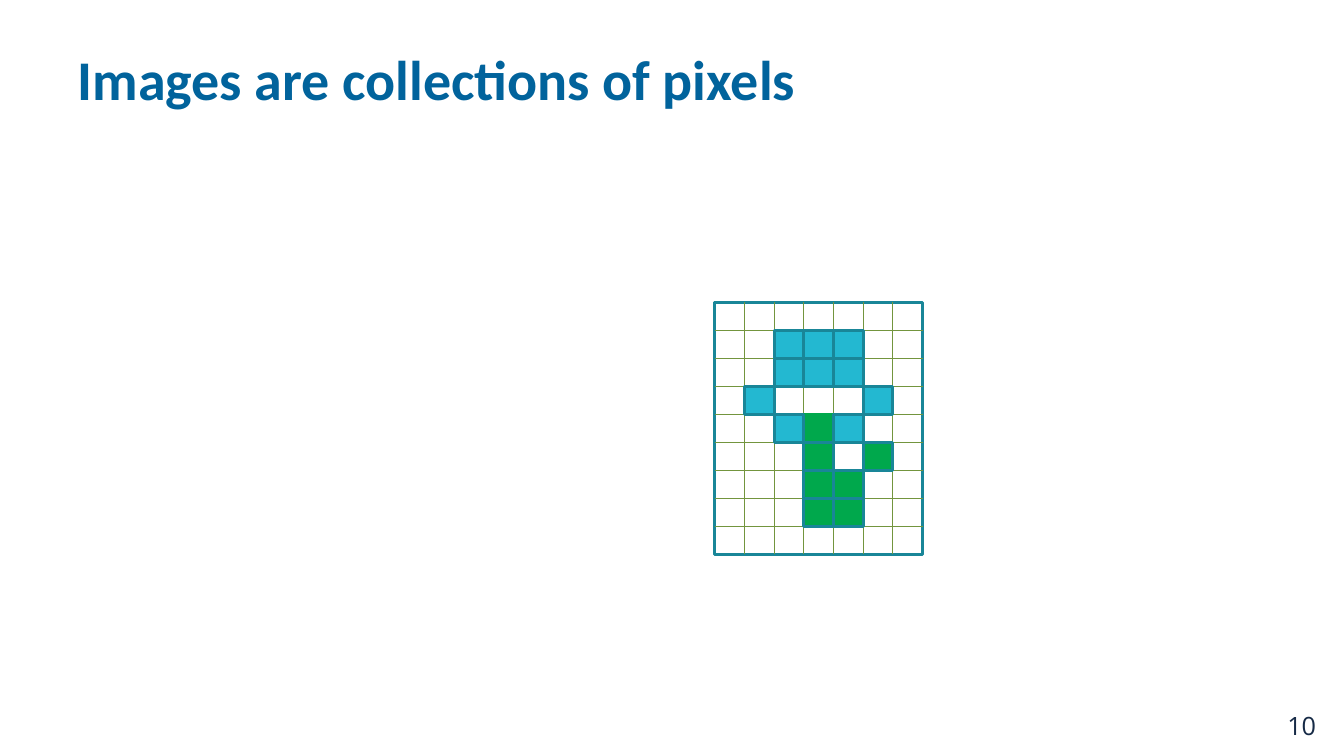
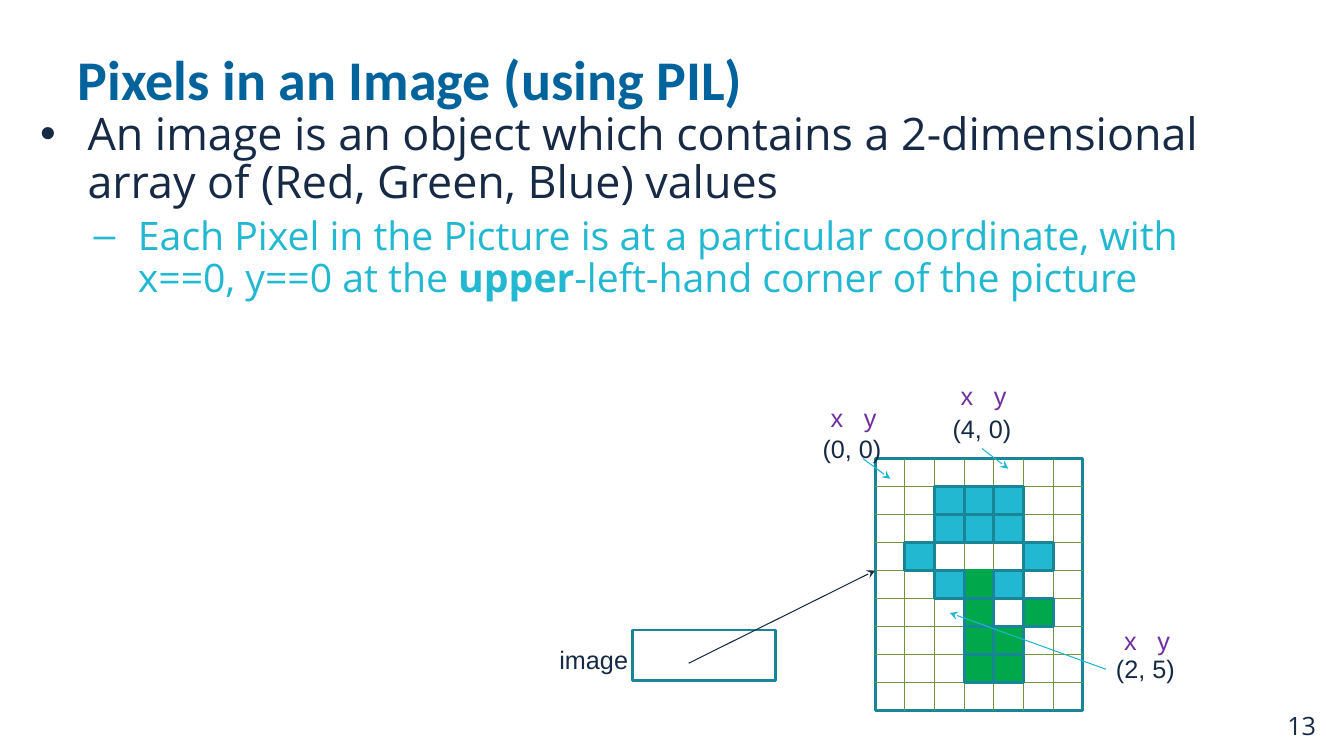
from lxml.etree import SubElement
from pptx import Presentation
from pptx.dml.color import RGBColor
from pptx.enum.shapes import MSO_CONNECTOR, MSO_SHAPE
from pptx.enum.text import MSO_ANCHOR, PP_ALIGN
from pptx.oxml.ns import qn
from pptx.util import Inches, Pt

TITLE_BLUE = RGBColor(0x01, 0x63, 0x9C)
NAVY = RGBColor(0x16, 0x2A, 0x46)
CYAN = RGBColor(0x23, 0xB8, 0xD1)
ARROW_CYAN = RGBColor(0x1D, 0xB6, 0xD0)
TEAL = RGBColor(0x19, 0x86, 0x98)
GREEN = RGBColor(0x00, 0xA8, 0x4C)
GRID_GREEN = RGBColor(0x73, 0x95, 0x3E)
PURPLE = RGBColor(0x70, 0x30, 0xA0)

GRID_WIDTH, GRID_HEIGHT = 2.06, 2.5
FLOWER = [
    ".......",
    "..BBB..",
    "..BBB..",
    ".B...B.",
    "..BgB..",
    "...G.G.",
    "...GG..",
    "...GG..",
    ".......",
]
PIXEL_STYLES = {"g": (GREEN, GREEN), "B": (CYAN, TEAL), "G": (GREEN, TEAL)}
ROWS, COLUMNS = len(FLOWER), len(FLOWER[0])
CELL_WIDTH, CELL_HEIGHT = GRID_WIDTH / COLUMNS, GRID_HEIGHT / ROWS


def add_line(shapes, start, end, color, arrow=False):
    points = [Inches(value) for value in (*start, *end)]
    connector = shapes.add_connector(MSO_CONNECTOR.STRAIGHT, *points)
    connector.line.color.rgb = color
    connector.line.width = Pt(0.75)
    properties = connector.element.spPr
    if arrow:
        SubElement(properties.find(qn("a:ln")), qn("a:tailEnd"), type="stealth")
    SubElement(properties, qn("a:effectLst"))


def add_label(slide, left, top, text, font_name="Arial", color=NAVY, width=1):
    box = slide.shapes.add_textbox(Inches(left), Inches(top), Inches(width), Inches(0.4))
    box.text_frame.word_wrap = True
    box.text_frame.text = text
    paragraph = box.text_frame.paragraphs[0]
    if "\t" in text:
        tabs = SubElement(paragraph._p.get_or_add_pPr(), qn("a:tabLst"))
        SubElement(tabs, qn("a:tab"), pos=str(Inches(0.33)), algn="l")
    font = paragraph.runs[0].font
    font.name, font.size, font.color.rgb = font_name, Pt(18), color


presentation = Presentation()
presentation.slide_width = Inches(13.33)
presentation.slide_height = Inches(7.5)

for title_text, number, grid_left, grid_top in [
    ("Images are collections of pixels", "10", 7.09, 3),
    ("Pixels in an Image (using PIL)", "13", 8.68, 4.55),
]:
    slide = presentation.slides.add_slide(presentation.slide_layouts[5])
    title = slide.shapes.title
    title.left, title.top = Inches(0.67), Inches(0.06)
    title.width, title.height = Inches(12), Inches(1.42)
    title.text_frame.text = title_text
    title.text_frame.vertical_anchor = MSO_ANCHOR.MIDDLE
    paragraph = title.text_frame.paragraphs[0]
    paragraph.alignment = PP_ALIGN.LEFT
    font = paragraph.runs[0].font
    font.name, font.size, font.bold = "Calibri", Pt(40), True
    font.color.rgb = TITLE_BLUE
    add_label(slide, 12.67, 7, number, "Open Sans", width=0.5)

    grid = slide.shapes.add_group_shape()
    frame = grid.shapes.add_shape(
        MSO_SHAPE.RECTANGLE, Inches(grid_left), Inches(grid_top),
        Inches(GRID_WIDTH), Inches(GRID_HEIGHT))
    frame.shadow.inherit = False
    frame.fill.background()
    frame.line.color.rgb = TEAL
    frame.line.width = Pt(2)
    for row in range(1, ROWS):
        y = grid_top + row * CELL_HEIGHT
        add_line(grid.shapes, (grid_left, y), (grid_left + GRID_WIDTH, y), GRID_GREEN)
    for column in range(1, COLUMNS):
        x = grid_left + column * CELL_WIDTH
        add_line(grid.shapes, (x, grid_top), (x, grid_top + GRID_HEIGHT), GRID_GREEN)
    for letter, (fill_color, line_color) in PIXEL_STYLES.items():
        for row, pixels in enumerate(FLOWER):
            for column, pixel in enumerate(pixels):
                if pixel != letter:
                    continue
                cell = grid.shapes.add_shape(
                    MSO_SHAPE.RECTANGLE,
                    Inches(grid_left + column * CELL_WIDTH),
                    Inches(grid_top + row * CELL_HEIGHT),
                    Inches(CELL_WIDTH), Inches(CELL_HEIGHT))
                cell.shadow.inherit = False
                cell.fill.solid()
                cell.fill.fore_color.rgb = fill_color
                cell.line.color.rgb = line_color
                cell.line.width = Pt(2)

body = slide.shapes.add_textbox(Inches(0.27), Inches(1.06), Inches(12), Inches(5.03))
body.text_frame.word_wrap = True
for level, (bullet, margin, indent, size, color, texts) in enumerate([
    ("•", 0.5, -0.47, 32, NAVY,
     ["An image is an object which contains a 2-dimensional array of (Red, Green, Blue) values"]),
    ("–", 1, -0.44, 28, CYAN,
     ["Each Pixel in the Picture is at a particular coordinate, with x==0, y==0 at the ",
      "upper", "-left-hand corner of the picture"]),
]):
    paragraph = body.text_frame.add_paragraph() if level else body.text_frame.paragraphs[0]
    paragraph.level = level
    paragraph.line_spacing = 0.9
    if level:
        paragraph.space_before = Pt(5.6)
    properties = paragraph._p.get_or_add_pPr()
    properties.set("marL", str(Inches(margin)))
    properties.set("indent", str(Inches(indent)))
    SubElement(properties, qn("a:buFont"), typeface="Arial")
    SubElement(properties, qn("a:buChar"), char=bullet)
    for text in texts:
        run = paragraph.add_run()
        run.text = text
        run.font.name, run.font.size = "Open Sans", Pt(size)
        run.font.color.rgb = color
        run.font.bold = text == "upper"

variable = slide.shapes.add_shape(
    MSO_SHAPE.RECTANGLE, Inches(6.27), Inches(6.25), Inches(1.42), Inches(0.5))
variable.shadow.inherit = False
variable.fill.background()
variable.line.color.rgb = TEAL
variable.line.width = Pt(2)
add_label(slide, 5.45, 6.34, "image")
add_line(slide.shapes, (6.83, 6.58), (8.68, 5.66), NAVY, arrow=True)

for text, left, top, axes_top, start, end in [
    ("(0, 0)", 8.06, 4.25, 3.94, (8.56, 4.55), (8.83, 4.75)),
    ("(4, 0)", 9.35, 4.05, 3.72, (9.74, 4.45), (10, 4.65)),
    ("(2, 5)", 10.97, 6.43, 6.15, (10.97, 6.64), (9.42, 6.08)),
]:
    add_label(slide, left, top, text)
    add_label(slide, left + 0.08, axes_top, "x\ty", color=PURPLE)
    add_line(slide.shapes, start, end, ARROW_CYAN, arrow=True)

presentation.save("out.pptx")
